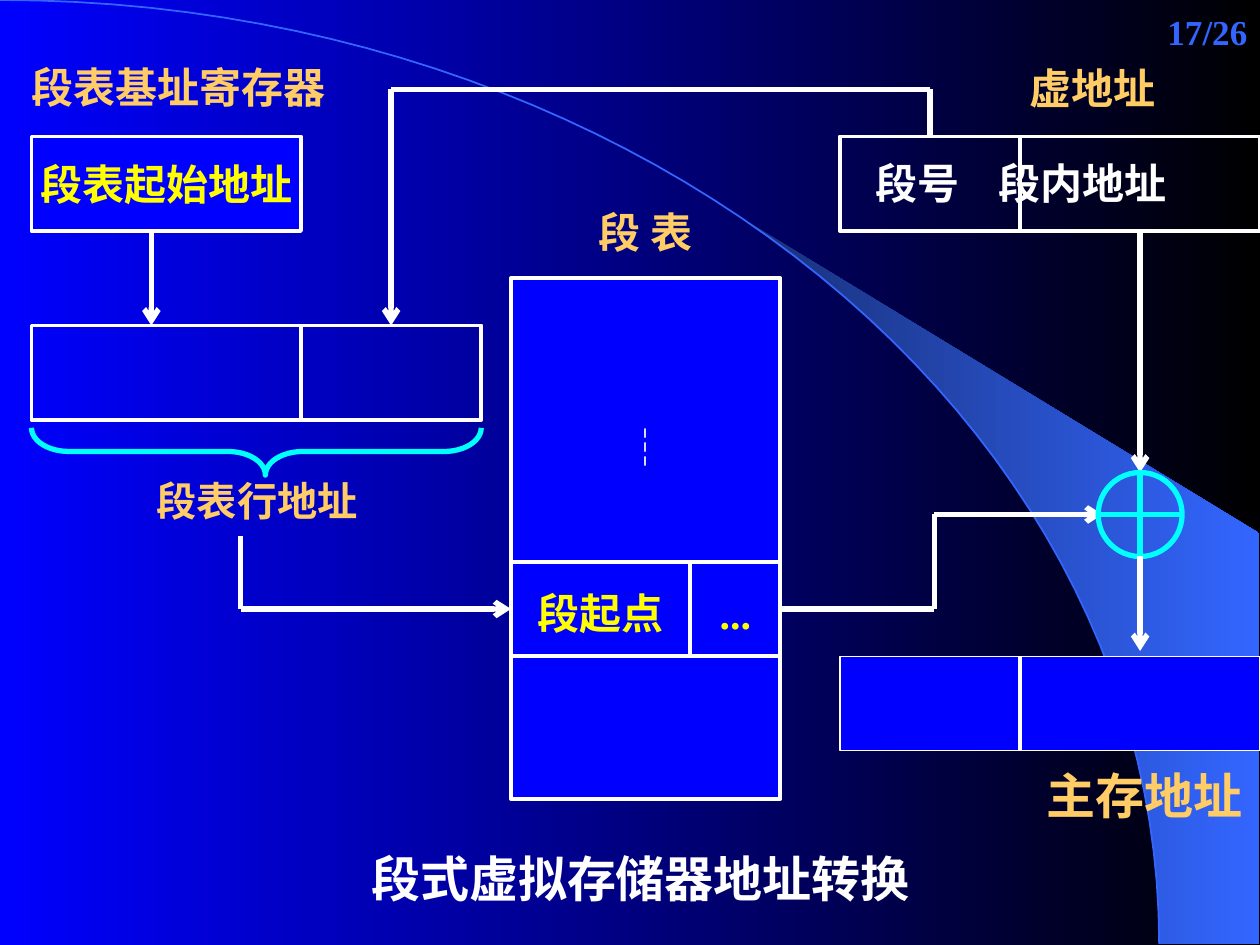
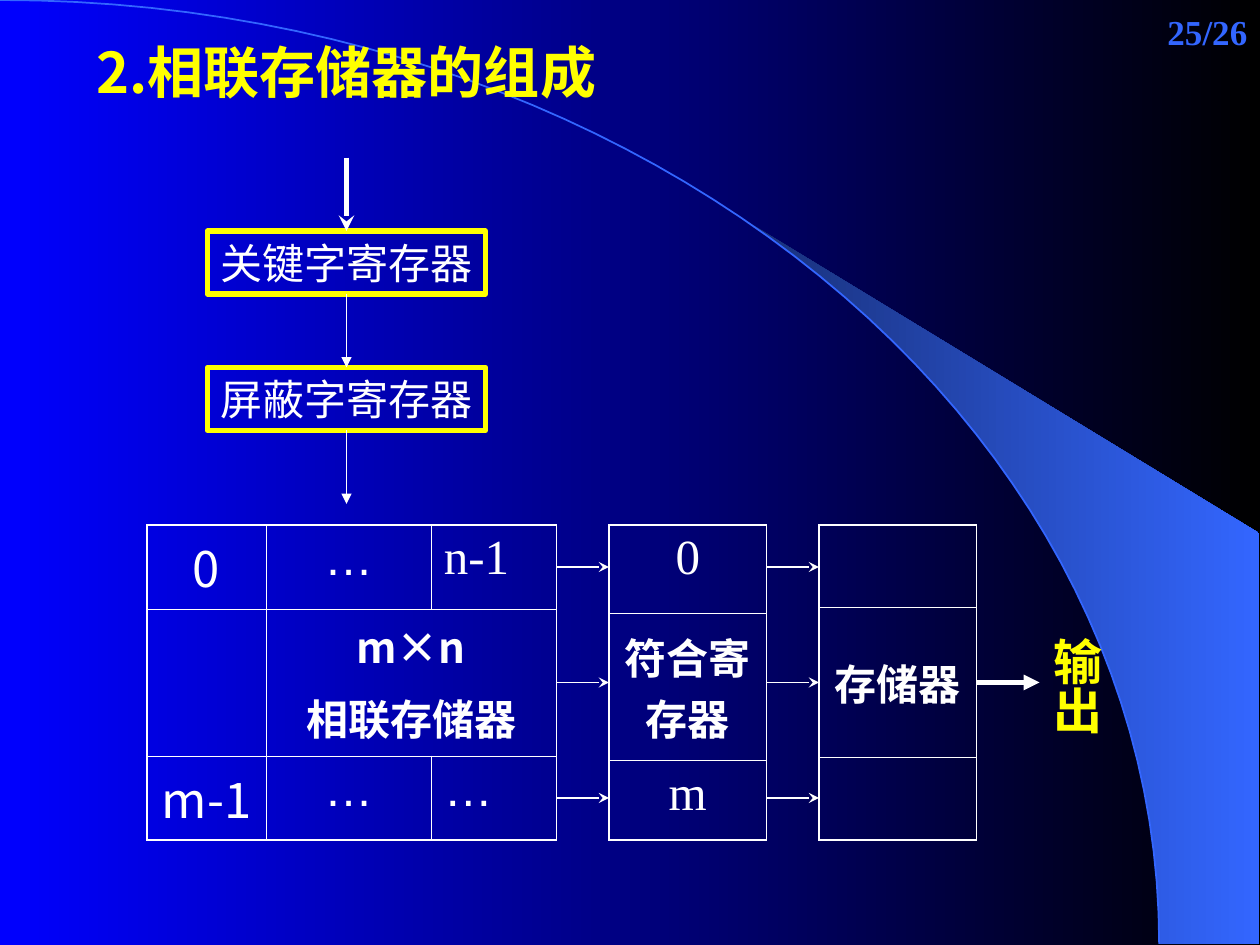
from itertools import pairwise

from lxml import etree
from pptx import Presentation
from pptx.dml.color import RGBColor
from pptx.enum.shapes import MSO_CONNECTOR, MSO_SHAPE
from pptx.enum.text import MSO_ANCHOR, MSO_AUTO_SIZE, PP_ALIGN
from pptx.oxml.ns import qn
from pptx.util import Pt

WHITE = RGBColor(0xFF, 0xFF, 0xFF)
BLACK = RGBColor(0, 0, 0)
BLUE = RGBColor(0, 0, 0xFF)
NAVY = RGBColor(0x18, 0x2F, 0x76)
SKY = RGBColor(0x33, 0x66, 0xFF)
GOLD = RGBColor(0xFF, 0xCC, 0x66)
YELLOW = RGBColor(0xFF, 0xFF, 0)
CYAN = RGBColor(0, 0xFF, 0xFF)

TIMES, ARIAL, NOTO = "Times New Roman", "Arial", "Noto Sans CJK SC"
LEFT, MID, RIGHT = PP_ALIGN.LEFT, PP_ALIGN.CENTER, PP_ALIGN.RIGHT
TOP, CENTRE = MSO_ANCHOR.TOP, MSO_ANCHOR.MIDDLE
RECT, CROSS, BRACE = MSO_SHAPE.RECTANGLE, MSO_SHAPE.FLOWCHART_OR, MSO_SHAPE.RIGHT_BRACE
STRAIGHT = MSO_CONNECTOR.STRAIGHT
FIXED = MSO_AUTO_SIZE.NONE
ON_TOP, ON_LEFT, ON_BASE, ON_RIGHT = range(4)
TITLE_ONLY = 5
OUTER, INNER = 1.08, 0.45


def pts(*values):
    return [Pt(value) for value in values]


def write(frame, words, size=24, colour=WHITE, font=TIMES, bold=True, align=MID, before=0):
    """Fill a text frame, one paragraph for each line of words."""
    for i, part in enumerate(words.split("\n")):
        para = frame.add_paragraph() if i else frame.paragraphs[0]
        para.alignment = align
        para.space_before = Pt(before)
        run = para.add_run()
        run.text = part
        run.font.size = Pt(size)
        run.font.bold = bold
        run.font.color.rgb = colour
        run.font.name = font
        etree.SubElement(run._r.get_or_add_rPr(), qn("a:ea"), typeface=NOTO)


def settle(frame, anchor=TOP, pad=(0, 0), wrap=True):
    frame.auto_size = FIXED
    frame.word_wrap = wrap
    frame.vertical_anchor = anchor
    frame.margin_left = frame.margin_right = Pt(pad[0])
    frame.margin_top = frame.margin_bottom = Pt(pad[1])


def label(slide, box, words, anchor=TOP, pad=(0, 0), wrap=True, **style):
    shape = slide.shapes.add_textbox(*pts(*box))
    settle(shape.text_frame, anchor, pad, wrap)
    write(shape.text_frame, words, **style)
    return shape


def draw(slide, box, kind=RECT, fill=None, line=WHITE, width=2.25, words="", **style):
    shape = slide.shapes.add_shape(kind, *pts(*box))
    shape.shadow.inherit = False
    if fill is None:
        shape.fill.background()
    else:
        shape.fill.solid()
        shape.fill.fore_color.rgb = fill
    shape.line.color.rgb = line
    shape.line.width = Pt(width)
    if words:
        settle(shape.text_frame, CENTRE, wrap=False)
        write(shape.text_frame, words, **style)
    return shape


def trail(slide, points, width=3, head=None, start=None, stop=None):
    """Join points with straight lines; start and stop are (shape, side)."""
    lines = []
    for a, b in pairwise(points):
        link = slide.shapes.add_connector(STRAIGHT, *pts(*a, *b))
        link.line.color.rgb = WHITE
        link.line.width = Pt(width)
        etree.SubElement(link.element.spPr, qn("a:effectLst"))
        lines.append(link)
    if head:
        edge = lines[-1].element.spPr.find(qn("a:ln"))
        etree.SubElement(edge, qn("a:tailEnd"), type=head)
    if start:
        lines[0].begin_connect(*start)
    if stop:
        lines[-1].end_connect(*stop)


def blend(fill, first, last):
    fill.gradient()
    fill.gradient_angle = 0
    for stop, colour in zip(fill.gradient_stops, (first, last)):
        stop.color.rgb = colour


def curve(a, b, c, d, steps=50):
    """Points along a cubic Bezier curve."""
    for i in range(steps + 1):
        t = i / steps
        u = 1 - t
        yield tuple(u**3 * p + 3 * u * u * t * q + 3 * u * t * t * r + t**3 * s
                    for p, q, r, s in zip(a, b, c, d))


def outline(slide, points, close):
    """Freeform placed behind the title."""
    first, *rest = [pts(*point) for point in points]
    pen = slide.shapes.build_freeform(*first, scale=1.0)
    pen.add_line_segments(rest, close=close)
    shape = pen.convert_to_shape()
    shape.shadow.inherit = False
    slide.shapes.title.element.addprevious(shape.element)
    return shape


def start_slide(deck, page, title, box, **style):
    slide = deck.slides.add_slide(deck.slide_layouts[TITLE_ONLY])
    arc = list(curve((0, 0), (366, 0), (662.4, 241), (662.4, 539.3)))
    fan = outline(slide, arc[22:] + [(719.3, 539.3), (719.3, 304.6)], True)
    blend(fan.fill, NAVY, SKY)
    fan.line.fill.background()
    rim = outline(slide, arc, False)
    rim.fill.background()
    rim.line.color.rgb = SKY
    rim.line.width = Pt(1)
    head = slide.shapes.title
    head.left, head.top, head.width, head.height = pts(*box)
    settle(head.text_frame, pad=(7.2, 3.6))
    write(head.text_frame, title, align=LEFT, **style)
    label(slide, (570, 0, 142.8, 36), f"{page}/26", CENTRE, size=20, colour=SKY, align=RIGHT)
    return slide


def pair(slide, box, split, **look):
    """Two cells side by side, the first one split points wide."""
    left, top, width, height = box
    return (draw(slide, (left, top, split, height), **look),
            draw(slide, (left + split, top, width - split, height), **look))


def base_part(slide, left, top):
    """Base register, row address and its brace."""
    label(slide, (left, top - 43, 172, 40), "段表基址寄存器", colour=GOLD, align=LEFT)
    draw(slide, (left, top, 154, 54), fill=BLUE, words="段表起始地址", colour=YELLOW)
    row = pair(slide, (left, top + 108, 257, 54), 154)
    trail(slide, [(left + 68.5, top + 54), (left + 68.5, top + 108)], head="arrow")
    brace = draw(slide, (left + 115, top + 51.5, 27, 257), BRACE, line=CYAN, width=3)
    brace.rotation = 90
    brace.adjustments[0] = 0.79
    brace.adjustments[1] = 0.48
    label(slide, (left + 71.5, top + 194, 120, 39), "段表行地址", size=23, colour=GOLD, align=LEFT)
    return row[1]


def segment_part(slide, left, top):
    """Segment table with its one shown row."""
    label(slide, (left + 17, top - 41, 120, 40), "段 表", colour=GOLD, font=NOTO)
    draw(slide, (left, top, 154, 297.5), fill=BLUE)
    label(slide, (left, top + 78, 154, 36), "┆", CENTRE, font=NOTO)
    cells = pair(slide, (left, top + 162, 154, 54), 102.5, fill=BLUE)
    for cell, words in zip(cells, ("段起点", "...")):
        settle(cell.text_frame, CENTRE)
        cell.text_frame.margin_top = Pt(4)
        write(cell.text_frame, words, colour=YELLOW)
    return cells


def virtual_part(slide, left, top):
    label(slide, (left + 84.5, top - 42, 119.5, 36), "虚地址", colour=GOLD)
    cells = pair(slide, (left, top, 240, 54), 103)
    for x, words in ((20.5, "段号"), (90.5, "段内地址")):
        label(slide, (left + x, top + 12, 110, 36), words, font=NOTO, align=LEFT)
    return cells


def memory_part(slide, left, top):
    pair(slide, (left, top, 240, 54), 103, fill=BLUE, width=0.75)
    trail(slide, [(left + 103, top), (left + 103, top + 54)], width=2.25)
    label(slide, (left + 108, top + 62.5, 132, 42), "主存地址", size=28, colour=GOLD)


def convert_slide(deck):
    slide = start_slide(deck, 17, "段式虚拟存储器地址转换", (205, 481, 330, 41), size=28, font=ARIAL)
    index = base_part(slide, 18, 78)
    origin, rest = segment_part(slide, 292, 159)
    number, offset = virtual_part(slide, 480, 78)
    memory_part(slide, 480, 375)
    trail(slide, [(531.5, 78), (531.5, 51), (223.5, 51), (223.5, 186)], head="arrow",
          start=(number, ON_TOP), stop=(index, ON_TOP))
    trail(slide, [(137.5, 306), (137.5, 348), (292, 348)], head="arrow", stop=(origin, ON_LEFT))
    trail(slide, [(446, 348), (534, 348), (534, 294), (630, 294)], head="arrow",
          start=(rest, ON_RIGHT))
    trail(slide, [(651.5, 132), (651.5, 270)], head="arrow", start=(offset, ON_BASE))
    draw(slide, (627.5, 270, 48, 48), CROSS, line=CYAN, width=3)
    trail(slide, [(651.5, 318), (651.5, 372)], head="arrow")


def edge_cell(cell, widths):
    """Draw the four borders of a cell, in the order L, R, T, B."""
    cell.fill.background()
    props = cell._tc.get_or_add_tcPr()
    for i, (side, width) in enumerate(zip("LRTB", widths)):
        edge = etree.Element(qn(f"a:ln{side}"), w=str(Pt(width)))
        fill = etree.SubElement(edge, qn("a:solidFill"))
        etree.SubElement(fill, qn("a:srgbClr"), val=str(WHITE))
        props.insert(i, edge)


def grid(slide, left, top, cols, rows, cells, merge=None):
    """Table whose cells maps (row, column) to words and their format."""
    frame = slide.shapes.add_table(len(rows), len(cols), *pts(left, top, sum(cols), sum(rows)))
    table = frame.table
    table.first_row = table.horz_banding = False
    for col, width in zip(table.columns, cols):
        col.width = Pt(width)
    for row, height in zip(table.rows, rows):
        row.height = Pt(height)
    if merge:
        table.cell(*merge[0]).merge(table.cell(*merge[1]))
    for r in range(len(rows)):
        for c in range(len(cols)):
            ends = (c == 0, c == len(cols) - 1, r == 0, r == len(rows) - 1)
            edge_cell(table.cell(r, c), [OUTER if end else INNER for end in ends])
    for place, (words, style) in cells.items():
        cell = table.cell(*place)
        if len(cols) == 1:
            cell.vertical_anchor = CENTRE if place[0] == 1 else TOP
        write(cell.text_frame, words, **style)


def store_part(slide, left, top):
    """Three tables in a row, linked by arrows."""
    plain = {"size": 28, "bold": False, "before": 7}
    strong = {"before": 6}
    noto, arial = plain | {"font": NOTO}, plain | {"font": ARIAL}
    grid(slide, left, top, (68, 94.5, 71.5), (48, 84, 48), {
        (0, 0): ("0", noto),
        (0, 1): ("…", arial),
        (0, 2): ("n-1", plain | {"align": LEFT}),
        (1, 1): ("m×n\n相联存储器", strong | {"font": NOTO}),
        (2, 0): ("m-1", noto),
        (2, 1): ("…", arial),
        (2, 2): ("…", arial | {"align": LEFT}),
    }, merge=((1, 1), (1, 2)))
    grid(slide, left + 264, top, (90,), (50.5, 84, 45.5), {
        (0, 0): ("0", plain), (1, 0): ("符合寄存器", strong), (2, 0): ("m", plain)})
    grid(slide, left + 384, top, (90,), (47, 86, 47), {(1, 0): ("存储器", strong)})
    for x in (left + 234, left + 354):
        for y in (top + 24, top + 90, top + 156):
            trail(slide, [(x, y), (x + 30, y)], width=0.75, head="stealth")
    trail(slide, [(left + 474, top + 90), (left + 510, top + 90)], head="triangle")
    out = label(slide, (left + 504, top + 57, 47.5, 63.5), "输出", pad=(3.6, 7.2), wrap=False,
                size=28, colour=YELLOW, font=ARIAL, align=LEFT)
    out.element.txBody.bodyPr.set("vert", "eaVert")


def key_part(slide, left, top):
    """Key and mask registers, one above the other."""
    key, mask = [draw(slide, (left, top + step, 159, 36), line=YELLOW, width=3,
                      words=words, font=ARIAL, bold=False)
                 for step, words in ((0, "关键字寄存器"), (78, "屏蔽字寄存器"))]
    x = left + 79.5
    trail(slide, [(x, top - 42), (x, top)], head="stealth", stop=(key, ON_TOP))
    trail(slide, [(x, top + 36), (x, top + 78)], width=0.75, head="triangle",
          start=(key, ON_BASE), stop=(mask, ON_TOP))
    trail(slide, [(x, top + 114), (x, top + 156)], width=0.75, head="triangle",
          start=(mask, ON_BASE))


def parts_slide(deck):
    slide = start_slide(deck, 25, "2.相联存储器的组成", (48, 18, 360, 46),
                        size=32, colour=YELLOW, font=NOTO)
    key_part(slide, 118.5, 132)
    store_part(slide, 84, 300)


def main():
    deck = Presentation()
    deck.slide_width, deck.slide_height = pts(720, 540)
    blend(deck.slide_master.background.fill, BLUE, BLACK)
    convert_slide(deck)
    parts_slide(deck)
    deck.save("out.pptx")


if __name__ == "__main__":
    main()
